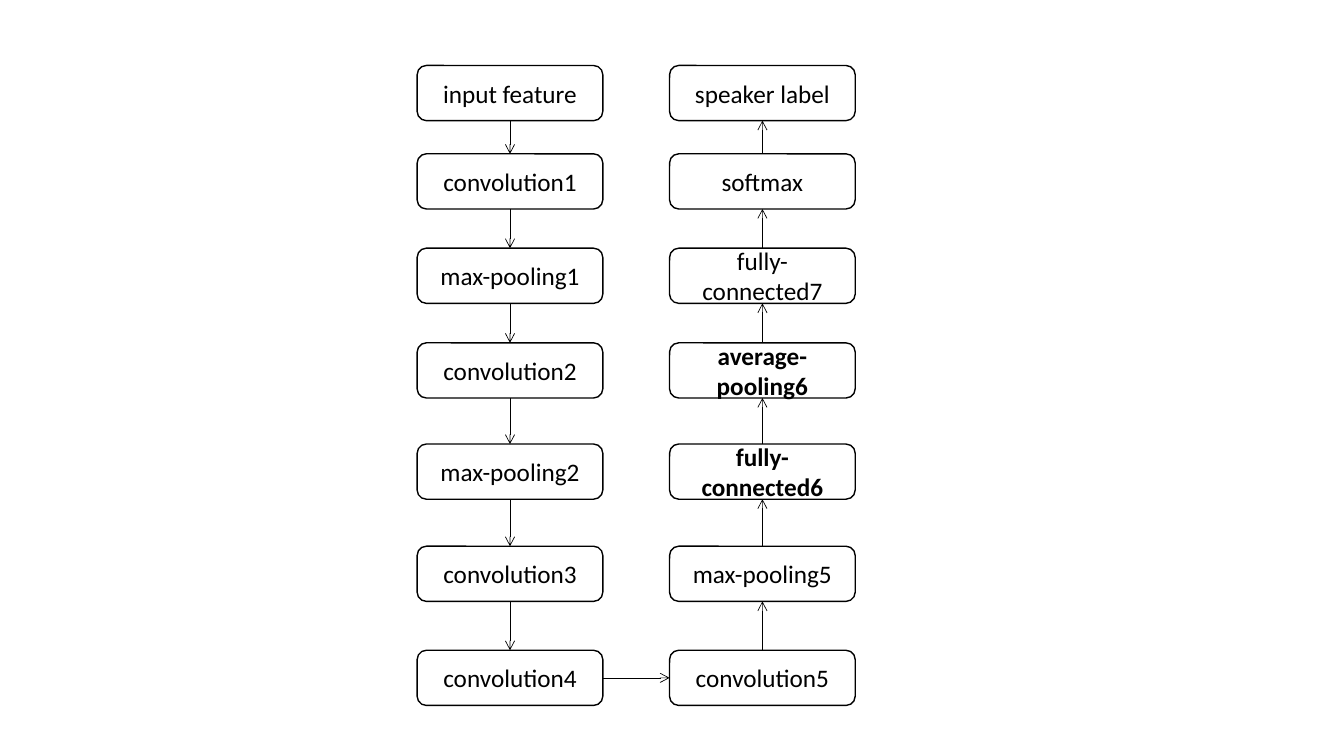
from lxml.etree import SubElement
from pptx import Presentation
from pptx.dml.color import RGBColor
from pptx.enum.shapes import MSO_CONNECTOR as CONNECTOR, MSO_SHAPE as SHAPE
from pptx.enum.text import MSO_ANCHOR as ANCHOR, PP_ALIGN as ALIGN
from pptx.oxml.ns import qn
from pptx.util import Pt

COLOURS = {"paper": "FFFFFF", "ink": "000000"}
BOX_WIDTH, BOX_HEIGHT = 132.6, 39.4
ROW_TOPS = [46.8, 109.9, 177.3, 244.9, 317.2, 390.2, 464.5]
DOWN_LEFT, UP_LEFT = 298, 478.3
TOP, LEFT, BOTTOM, RIGHT = range(4)

# Layers in network order: down the first column, then up the second
down_layers = ["input feature", "convolution1", "max-pooling1", "convolution2",
               "max-pooling2", "convolution3", "convolution4"]
up_layers = ["convolution5", "max-pooling5", "fully-connected6",
             "average-pooling6", "fully-connected7", "softmax", "speaker label"]
bold_layers = {"fully-connected6", "average-pooling6"}


def colour(name):
    return RGBColor.from_string(COLOURS[name])


deck = Presentation()
deck.slide_width, deck.slide_height = Pt(960), Pt(540)
page = deck.slides.add_slide(deck.slide_layouts[6])

# Layer boxes
places = [(DOWN_LEFT, top) for top in ROW_TOPS]
places += [(UP_LEFT, top) for top in reversed(ROW_TOPS)]
boxes = []
for label, (left, top) in zip(down_layers + up_layers, places):
    box = page.shapes.add_shape(SHAPE.ROUNDED_RECTANGLE, Pt(left), Pt(top),
                                Pt(BOX_WIDTH), Pt(BOX_HEIGHT))
    box.shadow.inherit = False
    box.fill.solid()
    box.fill.fore_color.rgb = colour("paper")
    box.line.color.rgb = colour("ink")
    box.line.width = Pt(1)
    box.text_frame.word_wrap = True
    box.text_frame.vertical_anchor = ANCHOR.MIDDLE
    para = box.text_frame.paragraphs[0]
    para.alignment = ALIGN.CENTER
    span = para.add_run()
    span.text = label
    span.font.name = "Calibri"
    span.font.size = Pt(18)
    span.font.bold = label in bold_layers
    span.font.color.rgb = colour("ink")
    boxes.append(box)

# Arrows from each layer to the next
for source, target in zip(boxes, boxes[1:]):
    if source.top < target.top:
        start, end = BOTTOM, TOP
    elif source.top > target.top:
        start, end = TOP, BOTTOM
    else:
        start, end = RIGHT, LEFT
    arrow = page.shapes.add_connector(CONNECTOR.STRAIGHT, source.left, source.top,
                                      target.left, target.top)
    arrow.begin_connect(source, start)
    arrow.end_connect(target, end)
    arrow.line.color.rgb = colour("ink")
    arrow.line.width = Pt(0.5)
    SubElement(arrow.line._get_or_add_ln(), qn("a:tailEnd"), type="arrow")
    SubElement(arrow._element.spPr, qn("a:effectLst"))

deck.save("out.pptx")
